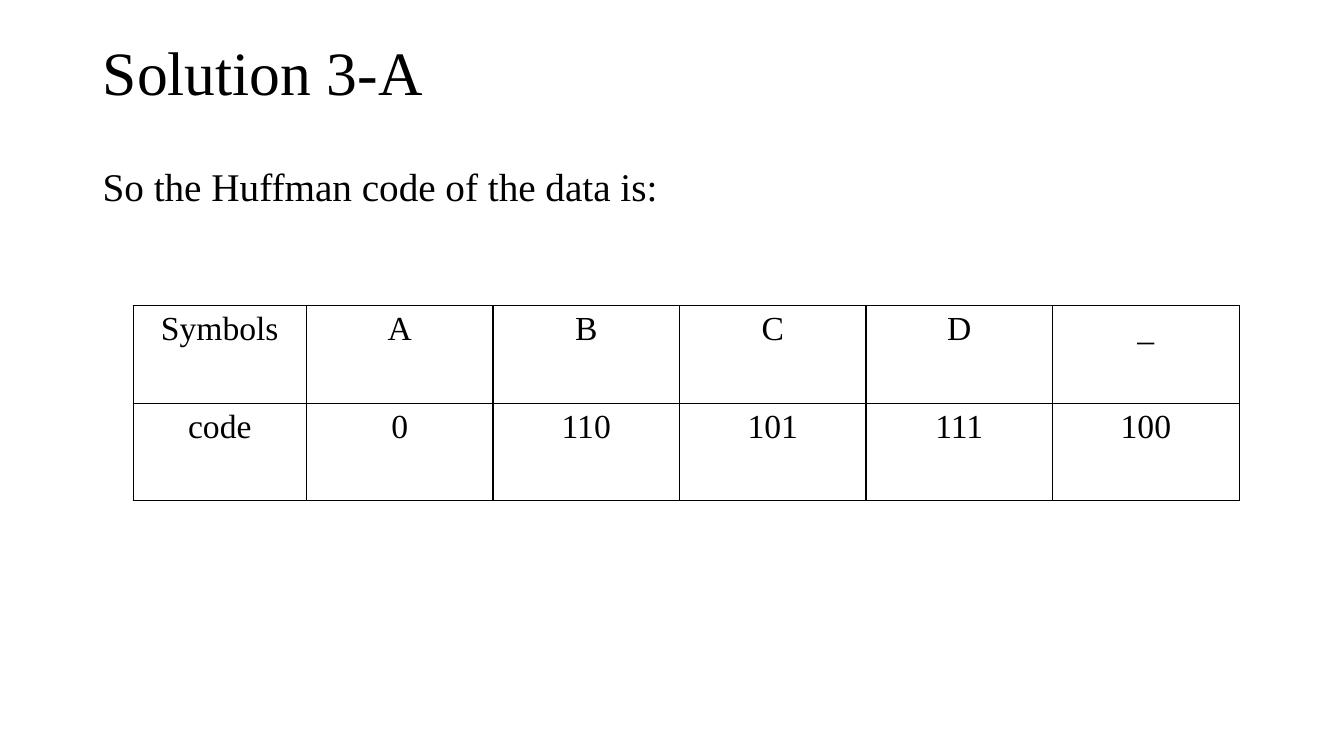
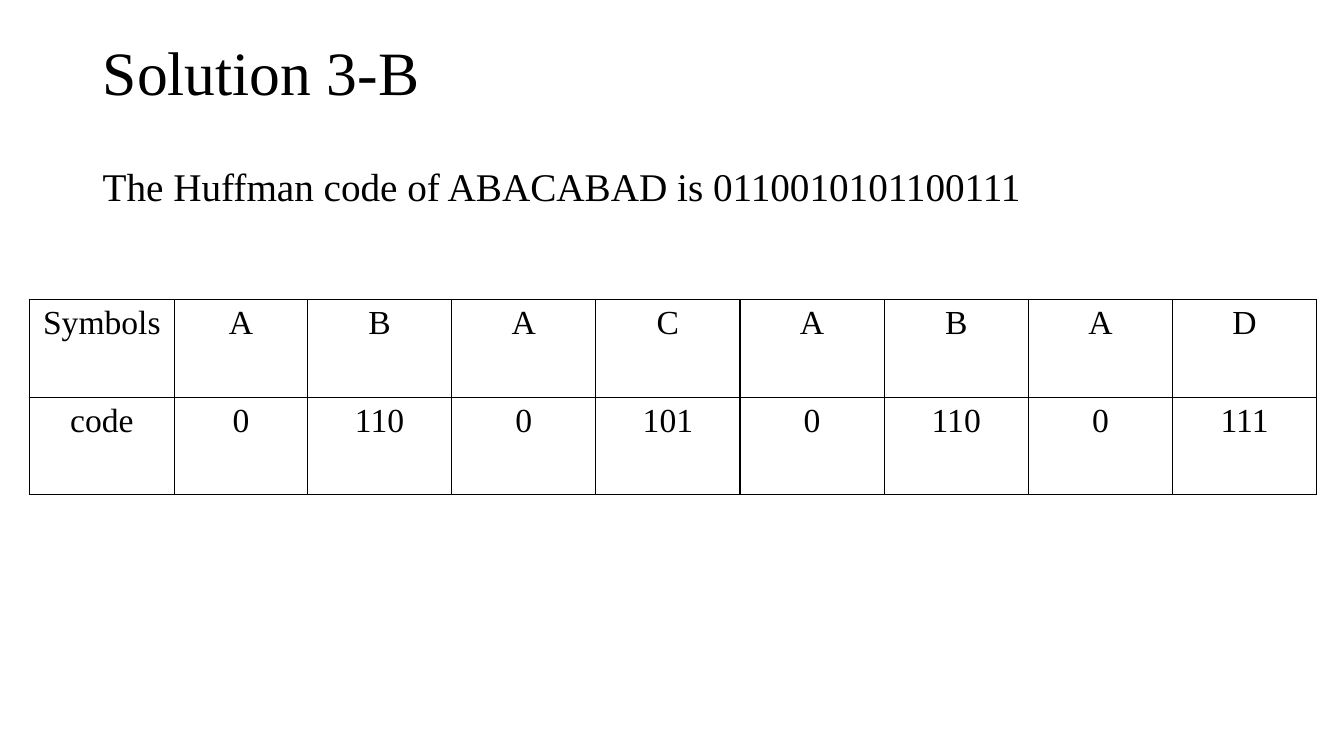
"""Build two slides that show Huffman codes in tables."""
from lxml.etree import SubElement
from pptx import Presentation
from pptx.dml.color import RGBColor
from pptx.enum.text import MSO_ANCHOR, PP_ALIGN
from pptx.oxml.ns import qn
from pptx.util import Pt

PX = 9144
FONT = "Times New Roman"
COLORS = {"ink": "000000", "paper": "FFFFFF"}
CODES = {"A": "0", "B": "110", "C": "101", "D": "111", "_": "100"}
ROW = 97

SLIDES = [
    {"title": "Solution 3-A",
     "text": "So the Huffman code of the data is:",
     "symbols": "ABCD_", "left": 132, "top": 303,
     "widths": [172] + [185] * 5},
    {"title": "Solution 3-B",
     "text": "The Huffman code of ABACABAD is 0110010101100111",
     "symbols": "ABACABAD", "left": 29, "top": 297,
     "widths": [144, 132] + [143] * 7},
]


def write(frame, text, size, align=PP_ALIGN.LEFT):
    """Put one styled paragraph into a text frame."""
    frame.text = text
    line = frame.paragraphs[0]
    line.alignment = align
    line.font.name = FONT
    line.font.size = Pt(size)
    line.font.bold = False
    line.font.color.rgb = RGBColor.from_string(COLORS["ink"])
    return line


def frame_cell(cell):
    """Draw a thin line on each side of a table cell."""
    props = cell._tc.get_or_add_tcPr()
    for at, side in enumerate(("lnL", "lnR", "lnT", "lnB")):
        edge = props.makeelement(qn(f"a:{side}"), {"w": str(Pt(1))})
        fill = SubElement(edge, qn("a:solidFill"))
        SubElement(fill, qn("a:srgbClr"), val=COLORS["ink"])
        props.insert(at, edge)


deck = Presentation()
deck.slide_width, deck.slide_height = 1333 * PX, 750 * PX

for page in SLIDES:
    slide = deck.slides.add_slide(deck.slide_layouts[5])
    back = slide.background.fill
    back.solid()
    back.fore_color.rgb = RGBColor.from_string(COLORS["paper"])

    title = slide.shapes.title
    title.left, title.top = 92 * PX, 2 * PX
    title.width, title.height = 1150 * PX, 145 * PX
    title.text_frame.vertical_anchor = MSO_ANCHOR.MIDDLE
    write(title.text_frame, page["title"], 44).line_spacing = 0.9

    body = slide.shapes.add_textbox(92 * PX, 161 * PX, 1150 * PX, 514 * PX)
    body.text_frame.word_wrap = True
    line = write(body.text_frame, page["text"], 28)
    line.line_spacing = 0.9
    line.space_before = Pt(10)

    rows = [["Symbols", *page["symbols"]],
            ["code", *(CODES[mark] for mark in page["symbols"])]]
    widths = page["widths"]
    table = slide.shapes.add_table(
        len(rows), len(widths), page["left"] * PX, page["top"] * PX,
        sum(widths) * PX, len(rows) * ROW * PX).table
    table.first_row = table.horz_banding = False
    for col, width in zip(table.columns, widths):
        col.width = width * PX
    for r, row in enumerate(rows):
        table.rows[r].height = ROW * PX
        for c, text in enumerate(row):
            cell = table.cell(r, c)
            cell.fill.background()
            frame_cell(cell)
            write(cell.text_frame, text, 24, PP_ALIGN.CENTER)

deck.save("out.pptx")
